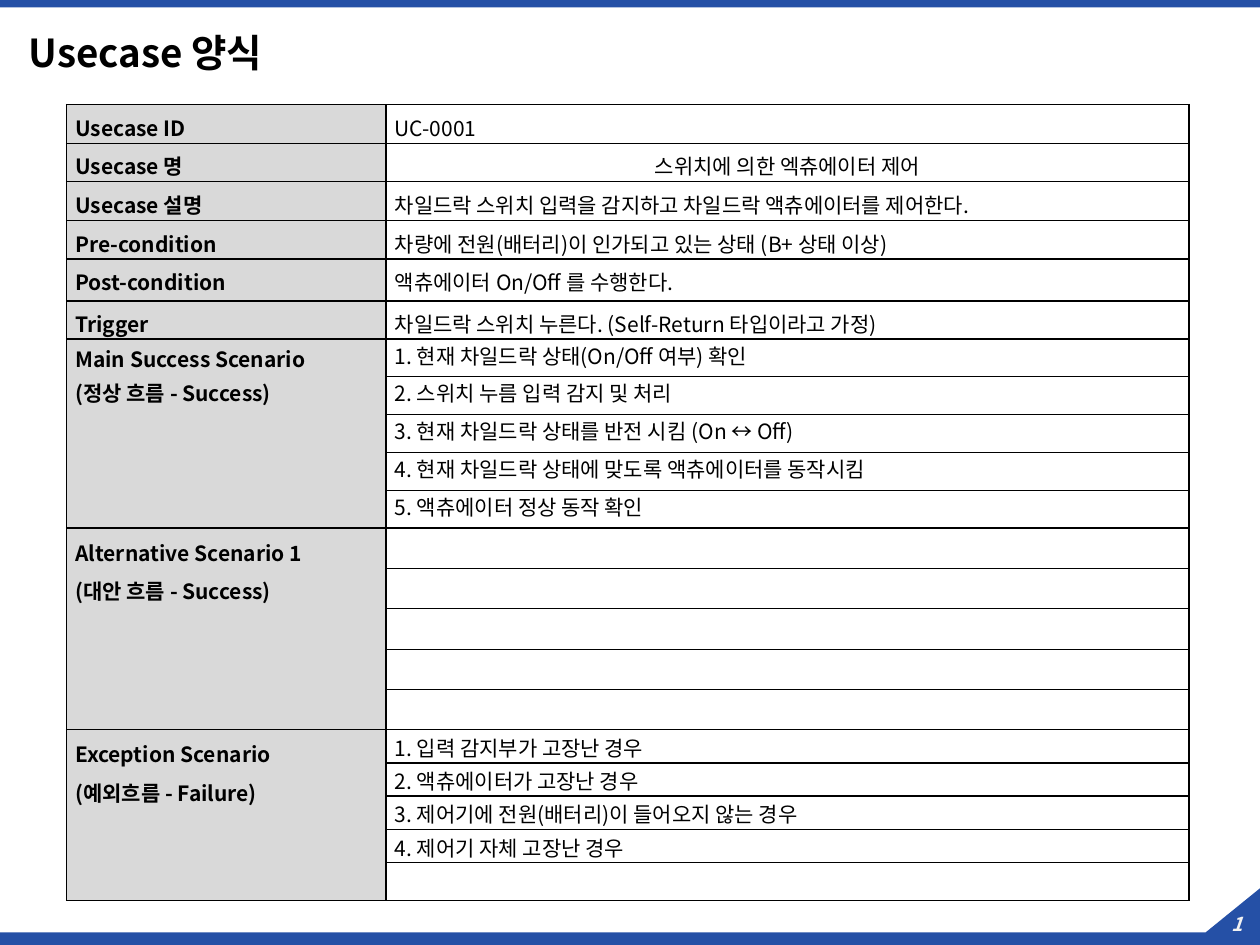
import pptx
import pptx.util
import pptx.dml.color
import pptx.enum.shapes
import pptx.enum.text
import pptx.oxml
import pptx.oxml.ns

Pt = pptx.util.Pt
ALIGN = pptx.enum.text.PP_ALIGN
ANCHOR = pptx.enum.text.MSO_ANCHOR

TITLE = "Usecase 양식"
PAGE_NUMBER = "1"
FIELDS = [  # label, value, row height
    ("Usecase ID", "UC-0001", 22.1),
    ("Usecase 명", "스위치에 의한 엑츄에이터 제어", 22.1),
    ("Usecase 설명", "차일드락 스위치 입력을 감지하고 차일드락 액츄에이터를 제어한다.", 22.1),
    ("Pre-condition", "차량에 전원(배터리)이 인가되고 있는 상태 (B+ 상태 이상)", 22.1),
    ("Post-condition", "액츄에이터 On/Off 를 수행한다.", 24),
    ("Trigger", "차일드락 스위치 누른다. (Self-Return 타입이라고 가정)", 21.7),
]
CENTERED_FIELD = "Usecase 명"
SCENARIOS = [
    {
        "label": ["Main Success Scenario", "(정상 흐름 - Success)"],
        "steps": [
            "1. 현재 차일드락 상태(On/Off 여부) 확인",
            "2. 스위치 누름 입력 감지 및 처리",
            "3. 현재 차일드락 상태를 반전 시킴 (On ↔ Off)",
            "4. 현재 차일드락 상태에 맞도록 액츄에이터를 동작시킴",
            "5. 액츄에이터 정상 동작 확인",
        ],
        "heights": [21.6] * 5,
        "label_format": {"top": 5.8, "before": 5.6, "line": 13.9},
        "step_format": {"top": 3.6, "before": 3.5, "line": 14.3},
    },
    {
        "label": ["Alternative Scenario 1", "(대안 흐름 - Success)"],
        "steps": [""] * 5,
        "heights": [23.1] * 5,
        "label_format": {"top": 5, "before": 4.7},
        "step_format": {"top": 0},
    },
    {
        "label": ["Exception Scenario", "(예외흐름 - Failure)"],
        "steps": [
            "1. 입력 감지부가 고장난 경우",
            "2. 액츄에이터가 고장난 경우",
            "3. 제어기에 전원(배터리)이 들어오지 않는 경우",
            "4. 제어기 자체 고장난 경우",
            "",
        ],
        "heights": [18.9] * 4 + [21.7],
        "label_format": {"top": 4.7, "before": 4.7},
        "step_format": {"top": 4.7, "before": 4.7, "line": 14.2},
    },
]
FIELD_FORMAT = {"top": 4.3, "before": 4.7}

THEME = {
    "font": "Noto Sans CJK KR",
    "blue": "2550A6", "label": "D9D9D9", "black": "000000", "number": "F2F2F2",
    "title_size": 22, "body_size": 12, "number_size": 11,
    "border": 0.75, "indent": 5,
}
PAGE_WIDTH, PAGE_HEIGHT = 720, 540
TABLE_LEFT, TABLE_TOP = 38, 59.7
COLUMNS = [182.6, 458.9]
FOOTER = [(720, 507.6), (720, 540), (0, 540), (0, 532.8), (689, 532.8)]


def color(name):
    """Return a theme colour."""
    return pptx.dml.color.RGBColor.from_string(THEME[name])


def assign(target, values):
    """Set attributes from a dict of format values."""
    for name, value in values.items():
        setattr(target, name, value)


def write(para, text, size, tint="black", bold=False, italic=False):
    """Add one styled span to a paragraph."""
    span = para.add_run()
    span.text = text
    assign(span.font, {"name": THEME["font"], "size": Pt(THEME[size]),
                       "bold": bold, "italic": italic})
    span.font.color.rgb = color(tint)
    east_asian = pptx.oxml.parse_xml(
        f'<a:ea {pptx.oxml.ns.nsdecls("a")} typeface="{THEME["font"]}"/>')
    span.font._element.append(east_asian)


def paint(shape):
    """Give a shape the plain blue look."""
    shape.shadow.inherit = False
    shape.fill.solid()
    shape.fill.fore_color.rgb = color("blue")
    shape.line.fill.background()


def add_text(page, place, text, inset, align, line_spacing, **style):
    """Add a one-line text box, centred vertically."""
    box = page.shapes.add_textbox(*map(Pt, place))
    side, end = map(Pt, inset)
    assign(box.text_frame, {"word_wrap": True, "vertical_anchor": ANCHOR.MIDDLE,
                            "margin_left": side, "margin_right": side,
                            "margin_top": end, "margin_bottom": end})
    para = box.text_frame.paragraphs[0]
    assign(para, {"alignment": align, "line_spacing": line_spacing})
    write(para, text, **style)


def add_borders(cell):
    """Draw the four borders of a cell."""
    properties = cell._tc.get_or_add_tcPr()
    for index, side in enumerate("LRTB"):
        properties.insert(index, pptx.oxml.parse_xml(
            f'<a:ln{side} {pptx.oxml.ns.nsdecls("a")} w="{int(Pt(THEME["border"]))}">'
            f'<a:solidFill><a:srgbClr val="{THEME["black"]}"/></a:solidFill></a:ln{side}>'))


def fill_cell(cell, lines, layout, label=False, align=ALIGN.LEFT):
    """Write the lines of a cell and set its layout and fill."""
    assign(cell, {"margin_left": 0, "margin_right": 0, "margin_bottom": 0,
                  "margin_top": Pt(layout["top"]) if any(lines) else 0,
                  "vertical_anchor": ANCHOR.TOP})
    if label:
        cell.fill.solid()
        cell.fill.fore_color.rgb = color("label")
    else:
        cell.fill.background()
    frame = cell.text_frame
    for index, line in enumerate(lines):
        para = frame.add_paragraph() if index else frame.paragraphs[0]
        if not line:
            para._p.append(pptx.oxml.parse_xml(
                f'<a:endParaRPr {pptx.oxml.ns.nsdecls("a")} sz="{THEME["body_size"] * 100}"/>'))
            continue
        para.alignment = align
        para.space_before = Pt(layout["before"])
        if "line" in layout:
            para.line_spacing = Pt(layout["line"])
        if align == ALIGN.LEFT:
            para._p.get_or_add_pPr().set("marL", str(int(Pt(THEME["indent"]))))
        write(para, line, "body_size", bold=label)


def add_usecase_table(page):
    """Build the use case table with its merged scenario labels."""
    heights = [height for *_, height in FIELDS]
    heights += [height for part in SCENARIOS for height in part["heights"]]
    table = page.shapes.add_table(
        len(heights), len(COLUMNS), Pt(TABLE_LEFT), Pt(TABLE_TOP),
        Pt(sum(COLUMNS)), Pt(sum(heights))).table
    assign(table, {"first_row": False, "horz_banding": False})
    for column, width in zip(table.columns, COLUMNS):
        column.width = Pt(width)
    for row, height in zip(table.rows, heights):
        row.height = Pt(height)

    for index, (label, value, _) in enumerate(FIELDS):
        align = ALIGN.CENTER if label == CENTERED_FIELD else ALIGN.LEFT
        fill_cell(table.cell(index, 0), [label], FIELD_FORMAT, label=True)
        fill_cell(table.cell(index, 1), [value], FIELD_FORMAT, align=align)
    start = len(FIELDS)
    for part in SCENARIOS:
        end = start + len(part["steps"])
        for index, step in enumerate(part["steps"], start):
            fill_cell(table.cell(index, 0), [""], part["label_format"], label=True)
            fill_cell(table.cell(index, 1), [step], part["step_format"])
        table.cell(start, 0).merge(table.cell(end - 1, 0))
        label_cell = table.cell(start, 0)
        label_cell.text_frame.clear()
        for leftover in label_cell._tc.findall(".//" + pptx.oxml.ns.qn("a:endParaRPr")):
            leftover.getparent().remove(leftover)
        fill_cell(label_cell, part["label"], part["label_format"], label=True)
        start = end
    for cell in table.iter_cells():
        add_borders(cell)


def build():
    """Build and save the slide."""
    deck = pptx.Presentation()
    assign(deck, {"slide_width": Pt(PAGE_WIDTH), "slide_height": Pt(PAGE_HEIGHT)})
    page = deck.slides.add_slide(deck.slide_layouts[6])
    paint(page.shapes.add_shape(pptx.enum.shapes.MSO_SHAPE.RECTANGLE,
                                0, 0, Pt(PAGE_WIDTH), Pt(4.3)))
    corners = [(Pt(x), Pt(y)) for x, y in FOOTER]
    outline = page.shapes.build_freeform(*corners[0])
    outline.add_line_segments(corners[1:], close=True)
    paint(outline.convert_to_shape())
    add_text(page, (692, 517.7, 30, 20.9), PAGE_NUMBER, (0, 0), ALIGN.CENTER, 1,
             size="number_size", tint="number", bold=True, italic=True)
    add_text(page, (9.4, 15.1, 681.8, 33.1), TITLE, (7.2, 3.6), ALIGN.LEFT, 0.9,
             size="title_size", bold=True)
    add_usecase_table(page)
    deck.save("out.pptx")


build()
